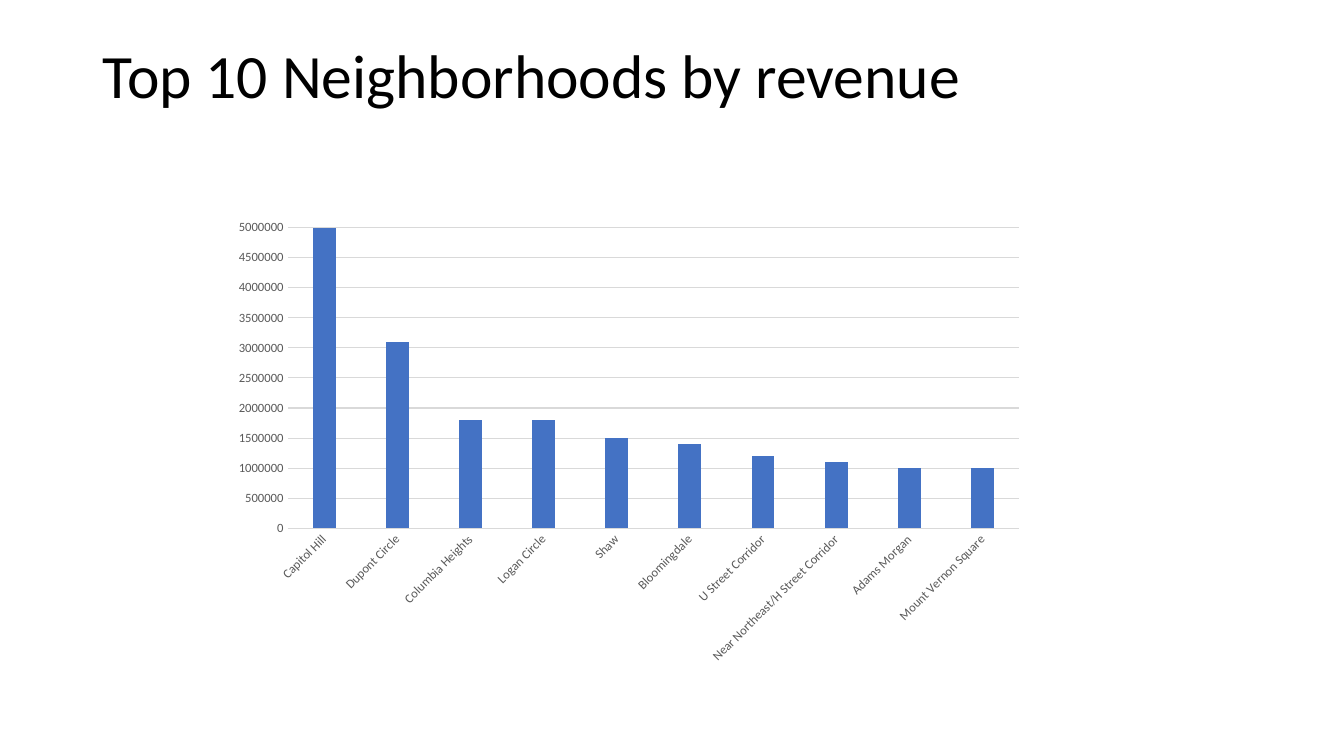
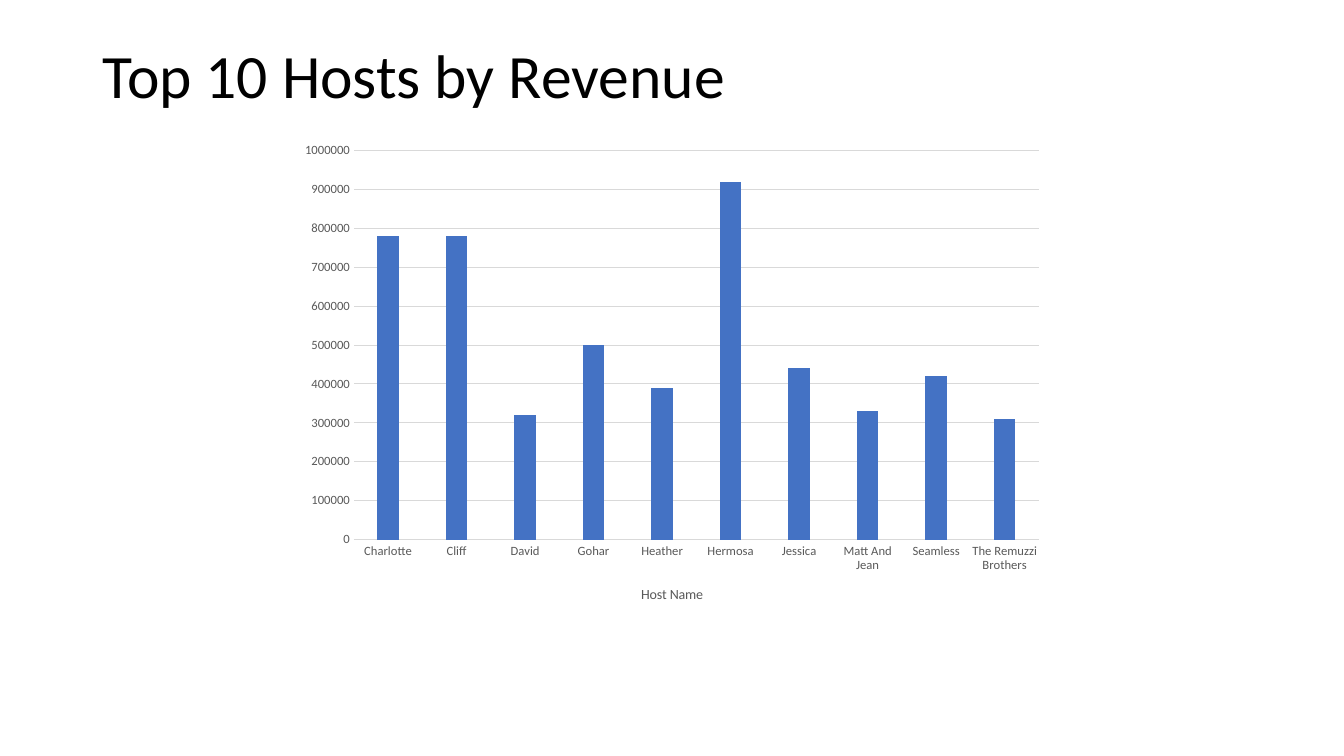
import dataclasses

import pptx
import pptx.chart.data
import pptx.dml.color
import pptx.enum.chart
import pptx.enum.text
import pptx.util

PX = 9525  # EMU in one px (96 px to the inch)


@dataclasses.dataclass(frozen=True)
class Theme:
    font: str = "Calibri"
    title_color: str = "000000"
    label_color: str = "595959"
    line_color: str = "D9D9D9"
    bar_color: str = "4472C4"
    title_size: int = 44
    axis_title_size: int = 10
    label_size: int = 9
    line_width: float = 0.75


theme = Theme()


def rgb(value):
    return pptx.dml.color.RGBColor.from_string(value)


def style_font(font, size, color):
    font.name = theme.font
    font.size = pptx.util.Pt(size)
    font.bold = False
    font.color.rgb = rgb(color)


# Content: box is left, top, width, height in px; label_angle is in degrees
charts = [
    {
        "title": "Top 10 Neighborhoods by revenue",
        "box": (212, 201, 774, 440),
        "maximum": 5000000,
        "step": 500000,
        "label_angle": -45,
        "axis_title": None,
        "values": {
            "Capitol Hill": 5000000,
            "Dupont Circle": 3100000,
            "Columbia Heights": 1800000,
            "Logan Circle": 1800000,
            "Shaw": 1500000,
            "Bloomingdale": 1400000,
            "U Street Corridor": 1200000,
            "Near Northeast/H Street Corridor": 1100000,
            "Adams Morgan": 1000000,
            "Mount Vernon Square": 1000000,
        },
    },
    {
        "title": "Top 10 Hosts by Revenue",
        "box": (276, 127, 728, 467),
        "maximum": 1000000,
        "step": 100000,
        "label_angle": 0,
        "axis_title": "Host Name",
        "values": {
            "Charlotte": 780000,
            "Cliff": 780000,
            "David": 320000,
            "Gohar": 500000,
            "Heather": 390000,
            "Hermosa": 920000,
            "Jessica": 440000,
            "Matt And Jean": 330000,
            "Seamless": 420000,
            "The Remuzzi Brothers": 310000,
        },
    },
]

presentation = pptx.Presentation()
presentation.slide_width = 1280 * PX
presentation.slide_height = 720 * PX
title_only = presentation.slide_layouts[5]

for content in charts:
    slide = presentation.slides.add_slide(title_only)

    # Title
    title = slide.shapes.title
    title.left, title.top, title.width, title.height = (
        length * PX for length in (88, 38, 1104, 139)
    )
    title.text_frame.vertical_anchor = pptx.enum.text.MSO_ANCHOR.TOP
    paragraph = title.text_frame.paragraphs[0]
    paragraph.alignment = pptx.enum.text.PP_ALIGN.LEFT
    paragraph.line_spacing = 0.9
    run = paragraph.add_run()
    run.text = content["title"]
    style_font(run.font, theme.title_size, theme.title_color)

    # Column chart
    chart_data = pptx.chart.data.CategoryChartData()
    chart_data.categories = list(content["values"])
    chart_data.add_series("Series 1", list(content["values"].values()))
    chart = slide.shapes.add_chart(
        pptx.enum.chart.XL_CHART_TYPE.COLUMN_CLUSTERED,
        *(length * PX for length in content["box"]),
        chart_data,
    ).chart
    chart.has_legend = False
    chart.has_title = False
    style_font(chart.font, theme.axis_title_size, theme.title_color)

    # Bars
    plot = chart.plots[0]
    plot.gap_width = 219
    plot.overlap = -27
    plot.vary_by_categories = False
    bar_fill = plot.series[0].format.fill
    bar_fill.solid()
    bar_fill.fore_color.rgb = rgb(theme.bar_color)

    # Axes and gridlines
    category_axis, value_axis = chart.category_axis, chart.value_axis
    for axis in (category_axis, value_axis):
        axis.major_tick_mark = pptx.enum.chart.XL_TICK_MARK.NONE
        axis.minor_tick_mark = pptx.enum.chart.XL_TICK_MARK.NONE
        style_font(axis.tick_labels.font, theme.label_size, theme.label_color)
    value_axis.minimum_scale = 0
    value_axis.maximum_scale = content["maximum"]
    value_axis.major_unit = content["step"]
    value_axis.has_major_gridlines = True
    value_axis.format.line.fill.background()
    for line in (category_axis.format.line, value_axis.major_gridlines.format.line):
        line.color.rgb = rgb(theme.line_color)
        line.width = pptx.util.Pt(theme.line_width)

    # Category labels turn in steps of 1/60000 degree
    label_body = category_axis._element.txPr.bodyPr
    label_body.set("rot", str(content["label_angle"] * 60000))
    label_body.set("vert", "horz")

    # Category axis title
    category_axis.has_title = content["axis_title"] is not None
    if category_axis.has_title:
        run = category_axis.axis_title.text_frame.paragraphs[0].add_run()
        run.text = content["axis_title"]
        style_font(run.font, theme.axis_title_size, theme.label_color)

presentation.save("out.pptx")
